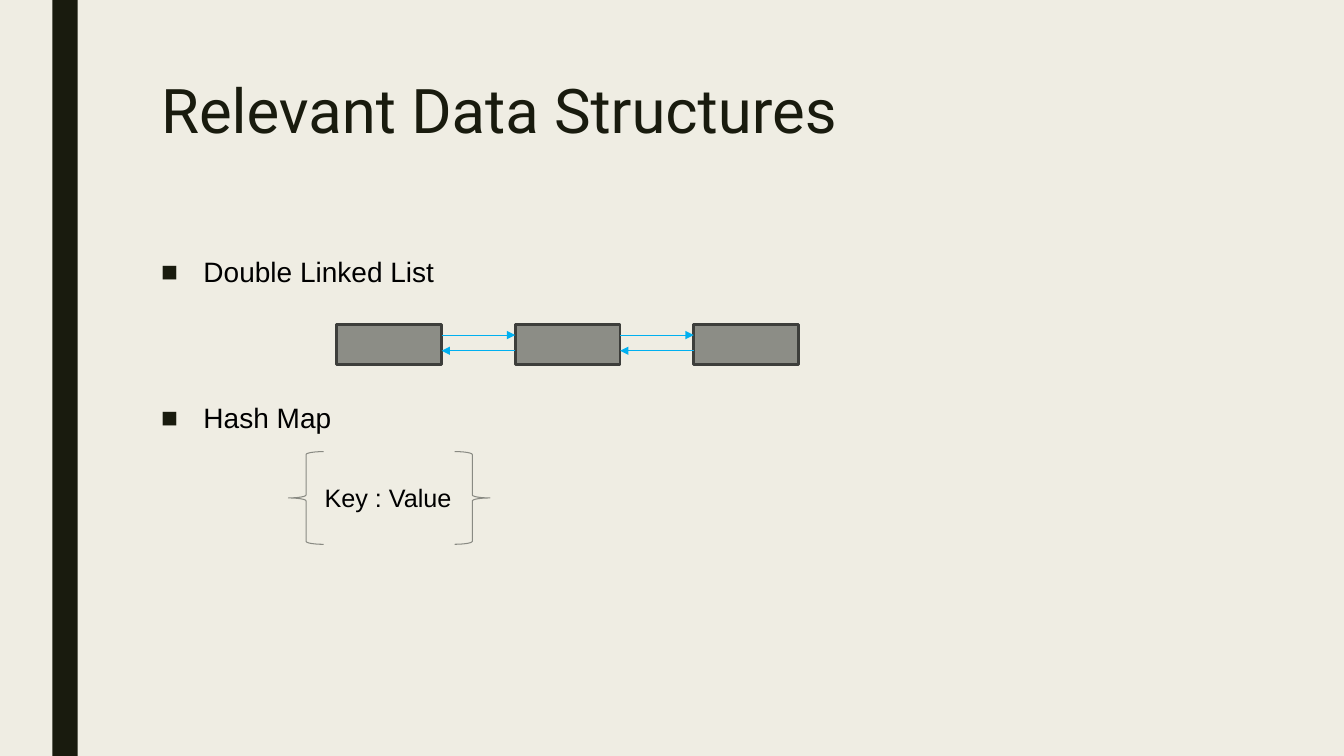
"""Build a slide on linked lists and hash maps, laid out in percent of its size."""
from dataclasses import dataclass

from lxml.etree import SubElement as Sub
from pptx import Presentation
from pptx.dml.color import RGBColor as Rgb
from pptx.enum.shapes import MSO_CONNECTOR as Link, MSO_SHAPE as Kind
from pptx.enum.text import MSO_ANCHOR as Anchor
from pptx.oxml.ns import qn
from pptx.util import Inches, Pt

WIDE, HIGH = Inches(13.33), Inches(7.5)


@dataclass(frozen=True)
class Theme:
    back: str = "EFEDE3"
    dark: str = "191B0E"
    ink: str = "000000"
    node: str = "8C8D86"
    edge: str = "3D3E3B"
    arrow: str = "00B0F0"
    brace: str = "898A83"
    head: str = "Roboto"
    body: str = "Arial"
    large: int = 44
    mid: int = 20
    small: int = 18
    thick: float = 2
    thin: float = 0.75


@dataclass(frozen=True)
class Area:
    left: float
    top: float
    width: float
    height: float

    def box(self) -> tuple[int, int, int, int]:
        return (across(self.left), down(self.top),
                across(self.width), down(self.height))


@dataclass(frozen=True)
class Shape:
    kind: Kind
    area: Area
    fill: str = ""
    line: str = ""
    weight: float = 0


@dataclass(frozen=True)
class Arrow:
    start: float
    end: float
    level: float


@dataclass(frozen=True)
class Item:
    text: str
    before: float


def across(share: float) -> int:
    return round(WIDE * share / 100)


def down(share: float) -> int:
    return round(HIGH * share / 100)


def hue(code: str) -> Rgb:
    return Rgb.from_string(code)


def draw_shape(slide, shape: Shape) -> None:
    new = slide.shapes.add_shape(shape.kind, *shape.area.box())
    new.shadow.inherit = False
    if shape.fill:
        new.fill.solid()
        new.fill.fore_color.rgb = hue(shape.fill)
    else:
        new.fill.background()
    if shape.line:
        new.line.color.rgb = hue(shape.line)
        new.line.width = Pt(shape.weight)
    else:
        new.line.fill.background()


def draw_arrow(slide, arrow: Arrow, theme: Theme) -> None:
    y = down(arrow.level)
    new = slide.shapes.add_connector(
        Link.STRAIGHT, across(arrow.start), y, across(arrow.end), y)
    new.line.color.rgb = hue(theme.arrow)
    new.line.width = Pt(theme.thin)
    Sub(new.line._get_or_add_ln(), qn("a:tailEnd"), type="triangle")
    Sub(new._element.spPr, qn("a:effectLst"))


def add_frame(slide, area: Area, text: str, wrap: bool = True):
    frame = slide.shapes.add_textbox(*area.box()).text_frame
    frame.text = text
    frame.word_wrap = wrap
    frame.vertical_anchor = Anchor.TOP
    return frame


def style(par, face: str, size: float, color: str) -> None:
    for run in par.runs:
        run.font.name = face
        run.font.size = Pt(size)
        run.font.color.rgb = hue(color)


def add_mark(par, theme: Theme) -> None:
    props = par._p.get_or_add_pPr()
    props.set("marL", str(Inches(0.42)))
    props.set("indent", str(-Inches(0.42)))
    Sub(Sub(props, qn("a:buClr")), qn("a:srgbClr"), val=theme.dark)
    Sub(props, qn("a:buFont"), typeface=theme.body)
    Sub(props, qn("a:buChar"), char="■")


def draw_list(slide, area: Area, items: list[Item], theme: Theme) -> None:
    frame = add_frame(slide, area, "\n".join(item.text for item in items))
    for par, item in zip(frame.paragraphs, items):
        par.line_spacing = 0.94
        par.space_before = Pt(item.before)
        par.space_after = Pt(2)
        style(par, theme.body, theme.mid, theme.ink)
        add_mark(par, theme)


def draw_chain(slide, first: Area, step: float, count: int, theme: Theme) -> None:
    lefts = [first.left + step * i for i in range(count)]
    for left in lefts:
        area = Area(left, first.top, first.width, first.height)
        draw_shape(slide, Shape(Kind.RECTANGLE, area, theme.node,
                                theme.edge, theme.thick))
    for left, end in zip(lefts, lefts[1:]):
        start = left + first.width
        draw_arrow(slide, Arrow(start, end, 44.33), theme)
        draw_arrow(slide, Arrow(end, start, 46.4), theme)


def draw_map(slide, theme: Theme) -> None:
    for kind, left in ((Kind.LEFT_BRACE, 21.46), (Kind.RIGHT_BRACE, 33.83)):
        draw_shape(slide, Shape(kind, Area(left, 59.73, 2.63, 12.27),
                                line=theme.brace, weight=theme.thin))
    label = add_frame(slide, Area(23.41, 63.2, 11.03, 5.33), "Key : Value", False)
    style(label.paragraphs[0], theme.body, theme.small, theme.ink)


def main() -> None:
    theme = Theme()
    deck = Presentation()
    deck.slide_width, deck.slide_height = WIDE, HIGH
    slide = deck.slides.add_slide(deck.slide_layouts[6])
    slide.background.fill.solid()
    slide.background.fill.fore_color.rgb = hue(theme.back)

    draw_shape(slide, Shape(Kind.RECTANGLE, Area(3.9, 0, 1.88, 100), theme.dark))
    title = add_frame(slide, Area(11.25, 10, 78.77, 21.6),
                      "Relevant Data Structures").paragraphs[0]
    title.line_spacing = 0.89
    style(title, theme.head, theme.large, theme.dark)

    items = [Item("Double Linked List", 10), Item("Hash Map", 80)]
    draw_list(slide, Area(11.25, 33.33, 78.77, 46), items, theme)
    draw_chain(slide, Area(25.06, 42.93, 7.8, 5.33), 13.28, 3, theme)
    draw_map(slide, theme)
    deck.save("out.pptx")


if __name__ == "__main__":
    main()
